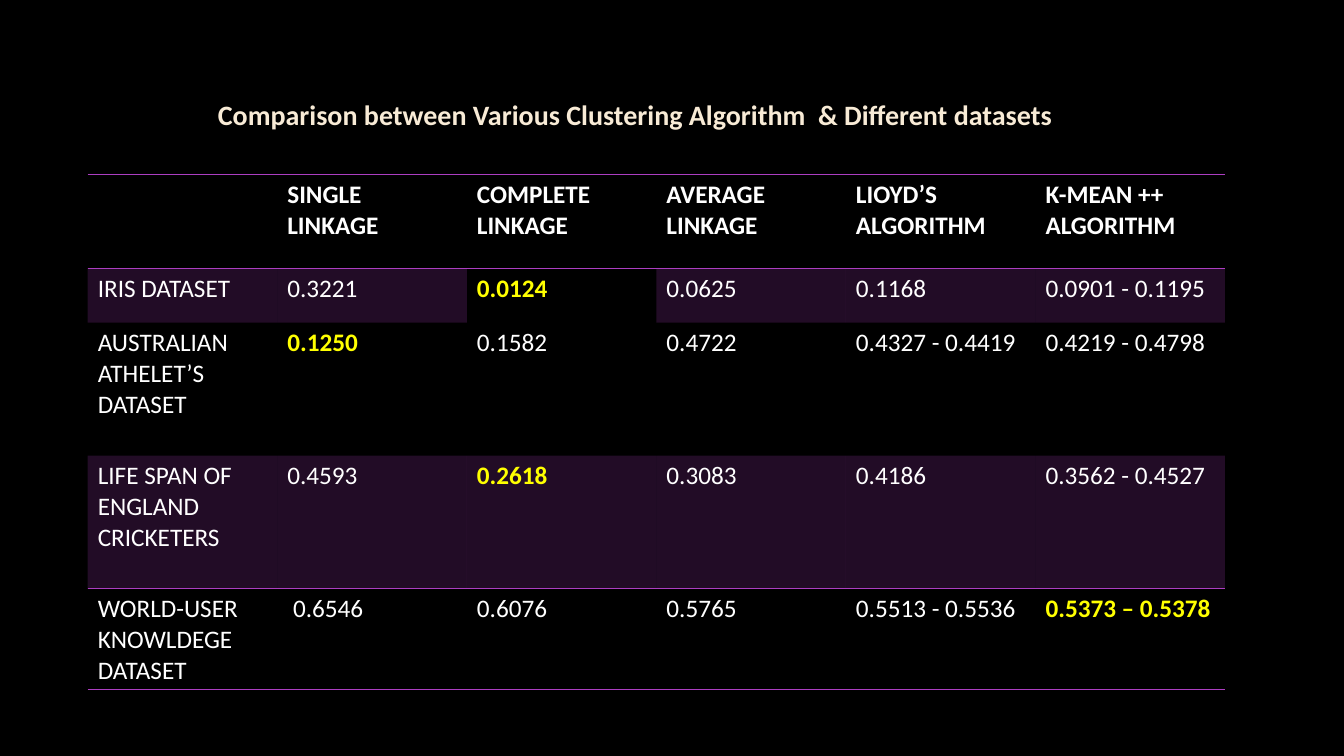
from lxml.etree import SubElement
from pptx import Presentation
from pptx.dml.color import RGBColor
from pptx.enum.text import MSO_ANCHOR, MSO_AUTO_SIZE, PP_ALIGN
from pptx.oxml.ns import qn
from pptx.util import Pt

PX = 9144  # 100 px to the inch
NO_STYLE_NO_GRID = "{2D5ABB26-0587-4C30-8999-92F81FD0307C}"
THEME = {
    "font": "Calibri",
    "title_size": Pt(20),
    "cell_size": Pt(18),
    "rule_width": Pt(1),
    "background": RGBColor.from_string("000000"),
    "title": RGBColor.from_string("F8EBD6"),
    "text": RGBColor.from_string("FFFFFF"),
    "best": RGBColor.from_string("FFFF00"),
    "accent": RGBColor.from_string("AC3EC1"),
}
BAND_ALPHA = "20000"
TABLE_LEFT, COLUMN_WIDTH, COLUMN_COUNT = 87, 188, 6

HEADER = ["", "SINGLE LINKAGE", "COMPLETE LINKAGE", "AVERAGE LINKAGE",
          "LIOYD’S ALGORITHM", "K-MEAN ++ ALGORITHM"]
IRIS = ["IRIS DATASET", "0.3221", "0.0124", "0.0625", "0.1168", "0.0901 - 0.1195"]
ATHLETES = ["AUSTRALIAN ATHELET’S DATASET", "0.1250", "0.1582", "0.4722",
            "0.4327 - 0.4419", "0.4219 - 0.4798"]
CRICKETERS = ["LIFE SPAN OF ENGLAND CRICKETERS", "0.4593", "0.2618", "0.3083",
              "0.4186", "0.3562 - 0.4527"]
USERS = ["WORLD-USER KNOWLDEGE DATASET", " 0.6546", "0.6076", "0.5765",
         "0.5513 - 0.5536", "0.5373 – 0.5378"]

# Each row: height, texts, bold columns, banded columns, ruled sides
TABLES = [
    (173, [
        (93, HEADER, range(6), [], ["lnT", "lnB"]),
        (54, IRIS, [2], [0, 1, 3, 4, 5], []),
        (132, ATHLETES, [1], [], []),
        (132, CRICKETERS, [2], range(6), ["lnB"]),
    ]),
    (584, [(100, USERS, [5], [], ["lnT", "lnB"])]),
]


def set_font(font, size, color, bold):
    values = {"name": THEME["font"], "size": size, "bold": bold}
    for name, value in values.items():
        setattr(font, name, value)
    font.color.rgb = color


def add_rule(cell, side):
    """Draw an accent border on one side; call before the cell gets its fill."""
    properties = cell._tc.get_or_add_tcPr()
    line = SubElement(properties, qn(f"a:{side}"), w=str(THEME["rule_width"]))
    solid = SubElement(line, qn("a:solidFill"))
    SubElement(solid, qn("a:srgbClr"), val=str(THEME["accent"]))


deck = Presentation()
deck.slide_width, deck.slide_height = 1333 * PX, 750 * PX
page = deck.slides.add_slide(deck.slide_layouts[5])
page.background.fill.solid()
page.background.fill.fore_color.rgb = THEME["background"]

for top, rows in TABLES:
    frame = page.shapes.add_table(
        len(rows), COLUMN_COUNT, TABLE_LEFT * PX, top * PX,
        COLUMN_COUNT * COLUMN_WIDTH * PX, sum(row[0] for row in rows) * PX)
    table = frame.table
    table.first_row = table.horz_banding = False
    table._tbl.tblPr.find(qn("a:tableStyleId")).text = NO_STYLE_NO_GRID
    for column in table.columns:
        column.width = COLUMN_WIDTH * PX

    for row_index, (height, texts, bold, banded, sides) in enumerate(rows):
        table.rows[row_index].height = height * PX
        for column_index, text in enumerate(texts):
            cell = table.cell(row_index, column_index)
            for side in sides:
                add_rule(cell, side)
            if column_index in banded:
                cell.fill.solid()
                cell.fill.fore_color.rgb = THEME["accent"]
                color = cell._tc.tcPr.find(qn("a:solidFill")).find(qn("a:srgbClr"))
                SubElement(color, qn("a:alpha"), val=BAND_ALPHA)
            else:
                cell.fill.background()
            cell.text = text
            is_bold = column_index in bold
            is_best = is_bold and texts is not HEADER
            set_font(cell.text_frame.paragraphs[0].font, THEME["cell_size"],
                     THEME["best" if is_best else "text"], is_bold)

title = page.shapes.title
placement = {"left": 202, "top": 92, "width": 856, "height": 44}
for name, value in placement.items():
    setattr(title, name, value * PX)
title.text = "Comparison between Various Clustering Algorithm  & Different datasets"
title_format = {"word_wrap": False, "auto_size": MSO_AUTO_SIZE.SHAPE_TO_FIT_TEXT,
                "vertical_anchor": MSO_ANCHOR.TOP}
for name, value in title_format.items():
    setattr(title.text_frame, name, value)
para = title.text_frame.paragraphs[0]
para.alignment = PP_ALIGN.CENTER
set_font(para.font, THEME["title_size"], THEME["title"], True)

deck.save("out.pptx")
